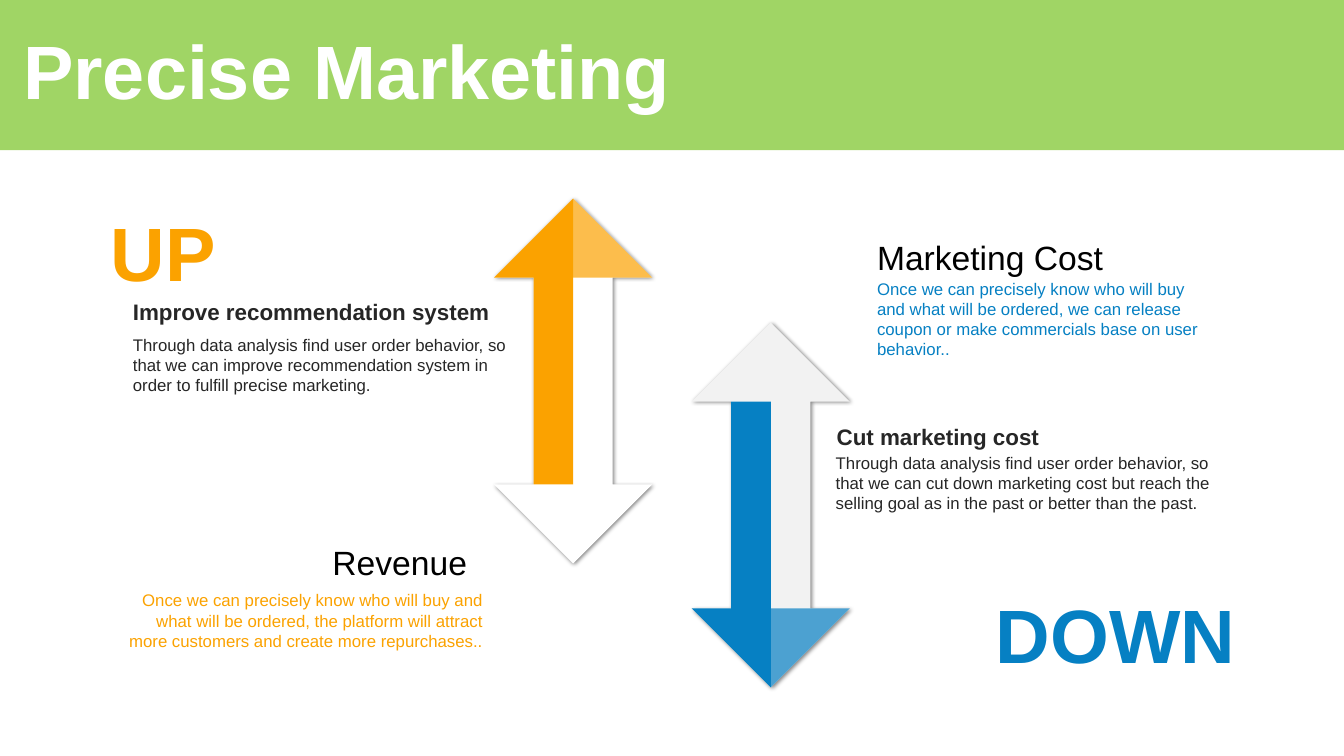
from dataclasses import dataclass

from lxml import etree
from pptx import Presentation
from pptx.dml.color import RGBColor
from pptx.enum.shapes import MSO_SHAPE as Preset
from pptx.enum.text import MSO_ANCHOR as Anchor, MSO_AUTO_SIZE as AutoSize, PP_ALIGN as Align
from pptx.oxml.ns import qn
from pptx.util import Inches, Pt


@dataclass(frozen=True)
class Theme:
    font: str = "Arial"
    green: str = "A0D565"
    orange: str = "FBA200"
    blue: str = "0680C3"
    white: str = "FFFFFF"
    pale: str = "F2F2F2"
    ink: str = "262626"
    black: str = "000000"
    display: int = 54
    topic: int = 24
    heading: int = 16
    body: int = 12


THEME = Theme()

# Proportions shared by both double arrows
ARROW_WIDTH, ARROW_HEIGHT = 1.57, 3.62
HEAD = ARROW_WIDTH / 2
SHAFT = ARROW_WIDTH / 4


def paint(shape, color):
    shape.shadow.inherit = False
    shape.fill.solid()
    shape.fill.fore_color.rgb = RGBColor.from_string(color)
    shape.line.fill.background()


def set_opacity(color_element, percent):
    etree.SubElement(color_element, qn("a:alpha"), val=str(percent * 1000))


def add_shadow(shape):
    effects = shape._element.spPr.find(qn("a:effectLst"))
    shadow = etree.SubElement(
        effects, qn("a:outerShdw"), blurRad=str(Pt(3)), dist=str(Pt(1)),
        dir=str(45 * 60000), algn="tl", rotWithShape="0")
    set_opacity(etree.SubElement(shadow, qn("a:srgbClr"), val=THEME.black), 47)


def write(box, text, size, color, bold=False, align=Align.LEFT, anchor=Anchor.TOP):
    frame = box.text_frame
    frame.word_wrap = True
    frame.auto_size = AutoSize.NONE
    frame.vertical_anchor = anchor
    para = frame.paragraphs[0]
    para.text = text
    para.alignment = align
    para.font.name = THEME.font
    para.font.size = Pt(size)
    para.font.bold = bold
    para.font.color.rgb = RGBColor.from_string(color)
    return para


def add_text(page, area, text, size, color, **style):
    box = page.shapes.add_textbox(*map(Inches, area))
    write(box, text, size, color, **style)


def add_outline(group, points, color):
    corners = [(Inches(x), Inches(y)) for x, y in points]
    builder = group.shapes.build_freeform(*corners[0])
    builder.add_line_segments(corners[1:], close=True)
    outline = builder.convert_to_shape()
    paint(outline, color)
    return outline


def add_double_arrow(page, left, top, base, accent, upward):
    group = page.shapes.add_group_shape()
    arrow = group.shapes.add_shape(
        Preset.UP_DOWN_ARROW, *map(Inches, (left, top, ARROW_WIDTH, ARROW_HEIGHT)))
    paint(arrow, base)
    add_shadow(arrow)

    # Coloured parts are measured from the tip that the arrow stresses
    center = left + HEAD
    tip, sign = (top, 1) if upward else (top + ARROW_HEIGHT, -1)

    def from_tip(points):
        return [(center + x, tip + sign * y) for x, y in points]

    end = ARROW_HEIGHT - HEAD
    add_outline(group, from_tip([(0, 0), (0, end), (-SHAFT, end),
                                 (-SHAFT, HEAD), (-HEAD, HEAD)]), accent)
    half_head = add_outline(group, from_tip([(0, 0), (HEAD, HEAD), (0, HEAD)]), accent)
    set_opacity(half_head._element.spPr.find(f"{qn('a:solidFill')}/{qn('a:srgbClr')}"), 70)


def add_header(page, width, text):
    band = page.shapes.add_shape(Preset.RECTANGLE, 0, 0, width, Inches(1.49))
    paint(band, THEME.green)
    title = page.shapes.title
    band._element.addnext(title._element)
    title.left, title.top, title.width, title.height = map(Inches, (0.13, 0.35, 13.11, 0.79))
    para = write(title, text, THEME.display, THEME.white, bold=True, anchor=Anchor.MIDDLE)
    para.line_spacing = 0.9


def main():
    deck = Presentation()
    deck.slide_width, deck.slide_height = Inches(13.33), Inches(7.5)
    page = deck.slides.add_slide(deck.slide_layouts[5])
    add_header(page, deck.slide_width, "Precise Marketing")

    # Arrows
    add_double_arrow(page, 4.9, 1.97, THEME.white, THEME.orange, upward=True)
    add_double_arrow(page, 6.86, 3.2, THEME.pale, THEME.blue, upward=False)

    # Direction words
    middle = {"anchor": Anchor.MIDDLE}
    middle_right = {"anchor": Anchor.MIDDLE, "align": Align.RIGHT}
    add_text(page, (1, 1.99, 1.65, 1.01), "UP", THEME.display, THEME.orange,
             bold=True, **middle)
    add_text(page, (9.59, 5.78, 2.76, 1.01), "DOWN", THEME.display, THEME.blue,
             bold=True, **middle_right)

    # Actions
    add_text(page, (1.22, 2.91, 3.93, 0.37), "Improve recommendation system",
             THEME.heading, THEME.ink, bold=True)
    add_text(page, (1.22, 3.27, 3.94, 0.71),
             "Through data analysis find user order behavior, so that we can improve "
             "recommendation system in order to fulfill precise marketing.",
             THEME.body, THEME.ink)
    add_text(page, (8.2, 4.15, 3.97, 0.37), "Cut marketing cost",
             THEME.heading, THEME.ink, bold=True)
    add_text(page, (8.19, 4.44, 3.98, 0.71),
             "Through data analysis find user order behavior, so that we can cut down "
             "marketing cost but reach the selling goal as in the past or better than the past.",
             THEME.body, THEME.ink)

    # Outcomes
    add_text(page, (8.6, 2.3, 3.55, 0.5), "Marketing Cost", THEME.topic, THEME.black, **middle)
    add_text(page, (8.6, 2.71, 3.55, 0.91),
             "Once we can precisely know who will buy and what will be ordered, we can "
             "release coupon or make commercials base on user behavior..",
             THEME.body, THEME.blue, **middle)
    add_text(page, (1.18, 5.33, 3.55, 0.5), "Revenue", THEME.topic, THEME.black, **middle_right)
    add_text(page, (1.18, 5.8, 3.71, 0.71),
             "Once we can precisely know who will buy and what will be ordered, the "
             "platform will attract more customers and create more repurchases..",
             THEME.body, THEME.orange, **middle_right)

    deck.save("out.pptx")


if __name__ == "__main__":
    main()
